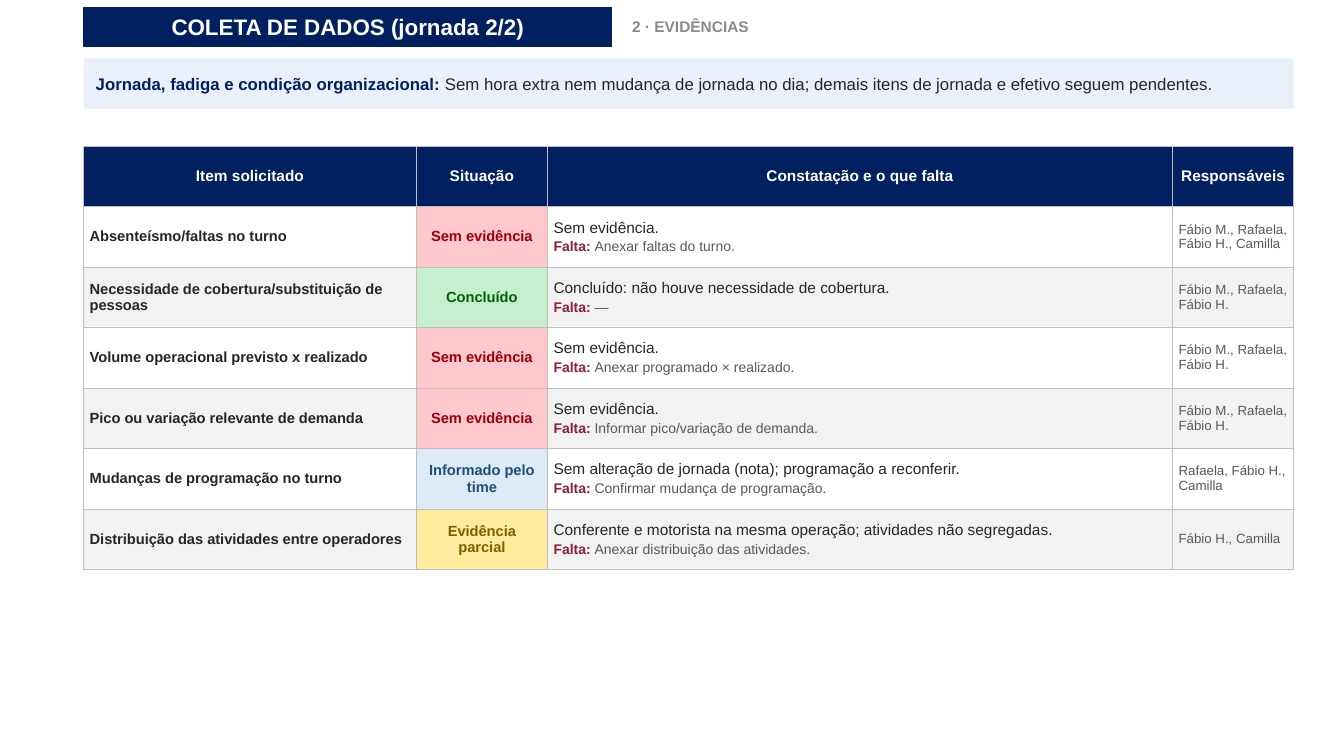
import dataclasses

import pptx
import pptx.dml.color
import pptx.enum.shapes
import pptx.enum.text
import pptx.oxml
import pptx.oxml.ns
import pptx.util

ALIGN = pptx.enum.text.PP_ALIGN


@dataclasses.dataclass(frozen=True)
class Theme:
    font: str = "Arial"
    navy: str = "002060"
    white: str = "FFFFFF"
    ink: str = "262626"
    muted: str = "595959"
    section: str = "8A8A8A"
    missing: str = "8C213F"
    pale: str = "EAF0FA"
    stripe: str = "F2F2F2"
    border: str = "BFBFBF"
    title: float = 16
    lead: float = 12
    body: float = 11
    item: float = 10.5
    detail: float = 10
    small: float = 9.5


# Status: (text colour, fill)
STATUS = {
    "Sem evidência": ("9C0006", "FFC7CE"),
    "Concluído": ("006100", "C6EFCE"),
    "Informado pelo time": ("1F4E78", "DDEBF7"),
    "Evidência parcial": ("7F6000", "FFEB9C"),
}
HEADERS = ["Item solicitado", "Situação", "Constatação e o que falta", "Responsáveis"]
COLUMNS = [3.3, 1.3, 6.2, 1.2]
ITEMS = [
    ("Absenteísmo/faltas no turno", "Sem evidência", "Sem evidência.",
     "Anexar faltas do turno.", "Fábio M., Rafaela, Fábio H., Camilla"),
    ("Necessidade de cobertura/substituição de pessoas", "Concluído",
     "Concluído: não houve necessidade de cobertura.", "—", "Fábio M., Rafaela, Fábio H."),
    ("Volume operacional previsto x realizado", "Sem evidência", "Sem evidência.",
     "Anexar programado × realizado.", "Fábio M., Rafaela, Fábio H."),
    ("Pico ou variação relevante de demanda", "Sem evidência", "Sem evidência.",
     "Informar pico/variação de demanda.", "Fábio M., Rafaela, Fábio H."),
    ("Mudanças de programação no turno", "Informado pelo time",
     "Sem alteração de jornada (nota); programação a reconferir.",
     "Confirmar mudança de programação.", "Rafaela, Fábio H., Camilla"),
    ("Distribuição das atividades entre operadores", "Evidência parcial",
     "Conferente e motorista na mesma operação; atividades não segregadas.",
     "Anexar distribuição das atividades.", "Fábio H., Camilla"),
]


def rgb(value):
    return pptx.dml.color.RGBColor.from_string(value)


class Deck:
    """Places elements on a grid of 1 inch columns and 0.6 inch rows."""
    LEFT, TOP, COL, ROW = 0.83, 0.07, 1, 0.6

    def __init__(self, theme):
        self.theme = theme
        self.prs = pptx.Presentation()
        self.prs.slide_width = pptx.util.Inches(13.33)
        self.prs.slide_height = pptx.util.Inches(7.5)
        self.s = self.prs.slides.add_slide(self.prs.slide_layouts[5])

    def box(self, col, row, cols, rows):
        return [pptx.util.Inches(v) for v in (
            self.LEFT + col * self.COL, self.TOP + row * self.ROW,
            cols * self.COL, rows * self.ROW)]

    def add_text(self, tf, paragraphs, align=ALIGN.LEFT, after=0):
        """Each paragraph is a list of (text, size, colour, bold) runs."""
        for i, runs in enumerate(paragraphs):
            p = tf.add_paragraph() if i else tf.paragraphs[0]
            p.alignment = align
            p.space_before = pptx.util.Pt(0)
            p.space_after = pptx.util.Pt(after)
            for text, size, colour, bold in runs:
                r = p.add_run()
                r.text = text
                r.font.name = self.theme.font
                r.font.size = pptx.util.Pt(size)
                r.font.bold = bold
                r.font.color.rgb = rgb(colour)

    def frame(self, sp, insets, runs, align=ALIGN.LEFT, after=2):
        tf = sp.text_frame
        tf.word_wrap = True
        tf.auto_size = pptx.enum.text.MSO_AUTO_SIZE.NONE
        tf.vertical_anchor = pptx.enum.text.MSO_ANCHOR.MIDDLE
        tf.margin_left, tf.margin_top, tf.margin_right, tf.margin_bottom = [
            pptx.util.Inches(v) for v in insets]
        self.add_text(tf, [runs], align, after)

    def title(self, text, box):
        t, sp = self.theme, self.s.shapes.title
        sp.left, sp.top, sp.width, sp.height = self.box(*box)
        sp.fill.solid()
        sp.fill.fore_color.rgb = rgb(t.navy)
        sp.line.color.rgb = rgb(t.navy)
        sp.line.width = pptx.util.Pt(0.75)
        self.frame(sp, (0.08, 0.05, 0.08, 0.05), [(text, t.title, t.white, True)], ALIGN.CENTER)

    def label(self, text, box):
        t = self.theme
        sp = self.s.shapes.add_textbox(*self.box(*box))
        self.frame(sp, (0.05, 0.03, 0.05, 0.03), [(text, t.body, t.section, True)], after=4)

    def banner(self, heading, text, box):
        t = self.theme
        sp = self.s.shapes.add_shape(pptx.enum.shapes.MSO_SHAPE.RECTANGLE, *self.box(*box))
        sp.shadow.inherit = False
        sp.fill.solid()
        sp.fill.fore_color.rgb = rgb(t.pale)
        sp.line.fill.background()
        self.frame(sp, (0.12, 0.05, 0.08, 0.05),
                   [(heading, t.lead, t.navy, True), (text, t.lead, t.ink, False)])

    def cell(self, cell, paragraphs, fill=None, align=ALIGN.LEFT, after=0):
        cell.vertical_anchor = pptx.enum.text.MSO_ANCHOR.MIDDLE
        cell.margin_left = cell.margin_right = pptx.util.Inches(0.06)
        cell.margin_top = cell.margin_bottom = pptx.util.Inches(0.03)
        tc_pr = cell._tc.get_or_add_tcPr()
        for side in ("lnL", "lnR", "lnT", "lnB"):
            tc_pr.append(pptx.oxml.parse_xml(
                f'<a:{side} {pptx.oxml.ns.nsdecls("a")} w="6350"><a:solidFill>'
                f'<a:srgbClr val="{self.theme.border}"/></a:solidFill></a:{side}>'))
        if fill:
            cell.fill.solid()
            cell.fill.fore_color.rgb = rgb(fill)
        else:
            cell.fill.background()
        self.add_text(cell.text_frame, paragraphs, align, after)

    def evidence_table(self, headers, items, columns, col, row):
        t, rows = self.theme, len(items) + 1
        table = self.s.shapes.add_table(
            rows, len(columns), *self.box(col, row, sum(columns), rows)).table
        table.horz_banding = False
        for column, width in zip(table.columns, columns):
            column.width = pptx.util.Inches(width * self.COL)
        for line in table.rows:
            line.height = pptx.util.Inches(self.ROW)
        for i, text in enumerate(headers):
            self.cell(table.cell(0, i), [[(text, t.body, t.white, True)]], t.navy, ALIGN.CENTER)
        for i, (item, status, finding, missing, people) in enumerate(items, 1):
            stripe = None if i % 2 else t.stripe
            colour, fill = STATUS[status]
            self.cell(table.cell(i, 0), [[(item, t.item, t.ink, True)]], stripe)
            self.cell(table.cell(i, 1), [[(status, t.item, colour, True)]], fill, ALIGN.CENTER)
            self.cell(table.cell(i, 2), [
                [(finding, t.body, t.ink, False)],
                [("Falta: ", t.detail, t.missing, True), (missing, t.detail, t.muted, False)],
            ], stripe, after=2)
            self.cell(table.cell(i, 3), [[(people, t.small, t.muted, False)]], stripe)


def main():
    deck = Deck(Theme())
    deck.title("COLETA DE DADOS (jornada 2/2)", (0, 0, 5.24, 0.65))
    deck.label("2 · EVIDÊNCIAS", (5.39, 0, 3, 0.65))
    deck.banner("Jornada, fadiga e condição organizacional: ",
                "Sem hora extra nem mudança de jornada no dia; "
                "demais itens de jornada e efetivo seguem pendentes.", (0, 0.85, 12, 0.83))
    deck.evidence_table(HEADERS, ITEMS, COLUMNS, 0, 2.3)
    deck.prs.save("out.pptx")


if __name__ == "__main__":
    main()
